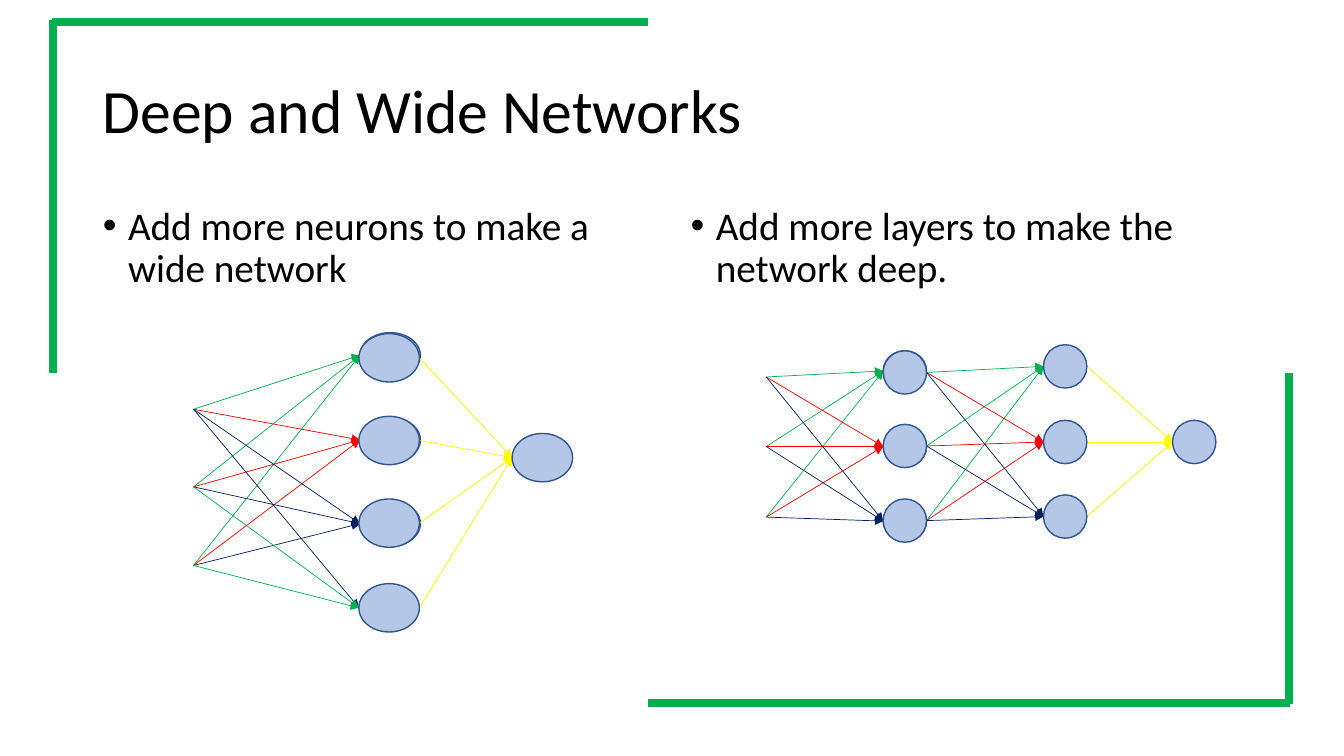
from dataclasses import dataclass

from lxml.etree import SubElement
from pptx import Presentation
from pptx.dml.color import RGBColor
from pptx.enum.shapes import MSO_CONNECTOR, MSO_SHAPE
from pptx.enum.text import MSO_ANCHOR, MSO_AUTO_SIZE, PP_ALIGN
from pptx.oxml.ns import qn
from pptx.util import Inches, Pt

COLORS = {
    "text": "000000",
    "neuron": "B4C7E7",
    "outline": "325491",
    "green": "00B050",
    "red": "FF0000",
    "navy": "002060",
    "yellow": "FFFF00",
}
FONT = "Calibri"
Point = tuple[float, float]


@dataclass
class Layer:
    left: float
    tops: list[float]
    width: float
    height: float

    def entries(self) -> list[Point]:
        return [(self.left, top + self.height / 2) for top in self.tops]

    def exits(self) -> list[Point]:
        return [(x + self.width, y) for x, y in self.entries()]


@dataclass
class Bundle:
    """Arrows from every start to every end; colors has one row per end."""
    starts: list[Point]
    ends: list[Point]
    colors: list[list[str]]


@dataclass
class Network:
    backing: Layer
    bundles: list[Bundle]
    layers: list[Layer]


def rgb(name: str) -> RGBColor:
    return RGBColor.from_string(COLORS[name])


def fill_placeholder(box, text: str, size: int, frame: tuple, bullet: bool = False) -> None:
    box.left, box.top, box.width, box.height = (Inches(value) for value in frame)
    text_frame = box.text_frame
    text_frame.word_wrap = True
    text_frame.auto_size = MSO_AUTO_SIZE.NONE
    text_frame.vertical_anchor = MSO_ANCHOR.TOP if bullet else MSO_ANCHOR.MIDDLE
    para = text_frame.paragraphs[0]
    para.alignment = PP_ALIGN.LEFT
    para.line_spacing = 0.9
    para.space_before = Pt(0)
    if bullet:
        properties = para._p.get_or_add_pPr()
        properties.set("marL", str(Inches(0.25)))
        properties.set("indent", str(Inches(-0.25)))
        SubElement(properties, qn("a:buFont"), typeface="Arial")
        SubElement(properties, qn("a:buChar"), char="•")
    span = para.add_run()
    span.text = text
    span.font.name = FONT
    span.font.size = Pt(size)
    span.font.color.rgb = rgb("text")


def draw_line(page, start: Point, end: Point, color: str, width: float, arrow: bool = False) -> None:
    line = page.shapes.add_connector(
        MSO_CONNECTOR.STRAIGHT, *(Inches(value) for value in start + end))
    line.line.color.rgb = rgb(color)
    line.line.width = Pt(width)
    if arrow:
        SubElement(line.line._get_or_add_ln(), qn("a:tailEnd"), type="triangle")
    SubElement(line._element.spPr, qn("a:effectLst"))


def draw_layer(page, layer: Layer) -> None:
    for top in layer.tops:
        neuron = page.shapes.add_shape(
            MSO_SHAPE.OVAL, Inches(layer.left), Inches(top),
            Inches(layer.width), Inches(layer.height))
        neuron.shadow.inherit = False
        neuron.fill.solid()
        neuron.fill.fore_color.rgb = rgb("neuron")
        neuron.line.color.rgb = rgb("outline")
        neuron.line.width = Pt(1)


def draw_network(page, network: Network) -> None:
    draw_layer(page, network.backing)
    for bundle in network.bundles:
        for end, row in zip(bundle.ends, bundle.colors):
            for start, color in zip(bundle.starts, row):
                draw_line(page, start, end, color, 0.5, arrow=True)
    for layer in network.layers:
        draw_layer(page, layer)


def wide_network() -> Network:
    inputs = [(1.92, y) for y in (4.06, 4.83, 5.61)]
    backing = Layer(3.57, [3.3, 4.14, 4.97], 0.6, 0.45)
    hidden = Layer(3.56, [3.31, 4.13, 4.95, 5.79], 0.6, 0.48)
    output = Layer(5.08, [4.3], 0.6, 0.48)
    rows = [[color] * 3 for color in ("green", "red", "navy")]
    rows.append(["navy", "green", "green"])
    return Network(backing, [
        Bundle(inputs, backing.entries() + hidden.entries()[3:], rows),
        Bundle(hidden.exits(), output.entries(), [["yellow"] * 4]),
    ], [hidden, output])


def deep_network() -> Network:
    inputs = [(7.6, y) for y in (3.74, 4.43, 5.13)]
    backing = Layer(8.76, [3.48, 4.23, 4.97], 0.43, 0.4)
    first = Layer(8.76, [3.48, 4.21, 4.95], 0.43, 0.43)
    second = Layer(10.35, [3.42, 4.17, 4.91], 0.43, 0.43)
    output = Layer(11.63, [4.17], 0.43, 0.43)
    rows = [[color] * 3 for color in ("green", "red", "navy")]
    return Network(backing, [
        Bundle(inputs, backing.entries(), rows),
        Bundle(first.exits(), second.entries(), rows),
        Bundle(second.exits(), output.entries(), [["yellow"] * 3]),
    ], [first, second, output])


def main() -> None:
    deck = Presentation()
    deck.slide_width, deck.slide_height = Inches(13.33), Inches(7.5)
    page = deck.slides.add_slide(deck.slide_layouts[3])
    title, left_body, right_body = page.placeholders

    fill_placeholder(title, "Deep and Wide Networks", 44, (0.92, 0.4, 11.5, 1.45))
    fill_placeholder(left_body, "Add more neurons to make a wide network", 28,
                     (0.92, 2, 5.67, 4.76), bullet=True)
    fill_placeholder(right_body, "Add more layers to make the network deep.", 28,
                     (6.75, 2, 5.67, 4.76), bullet=True)

    for network in (wide_network(), deep_network()):
        draw_network(page, network)

    frame_lines = [
        ((0.52, 0.22), (6.43, 0.22)),
        ((0.53, 0.2), (0.53, 3.7)),
        ((12.79, 6.97), (6.43, 6.97)),
        ((12.78, 6.98), (12.78, 3.7)),
    ]
    for start, end in frame_lines:
        draw_line(page, start, end, "green", 5.75)

    deck.save("out.pptx")


if __name__ == "__main__":
    main()
